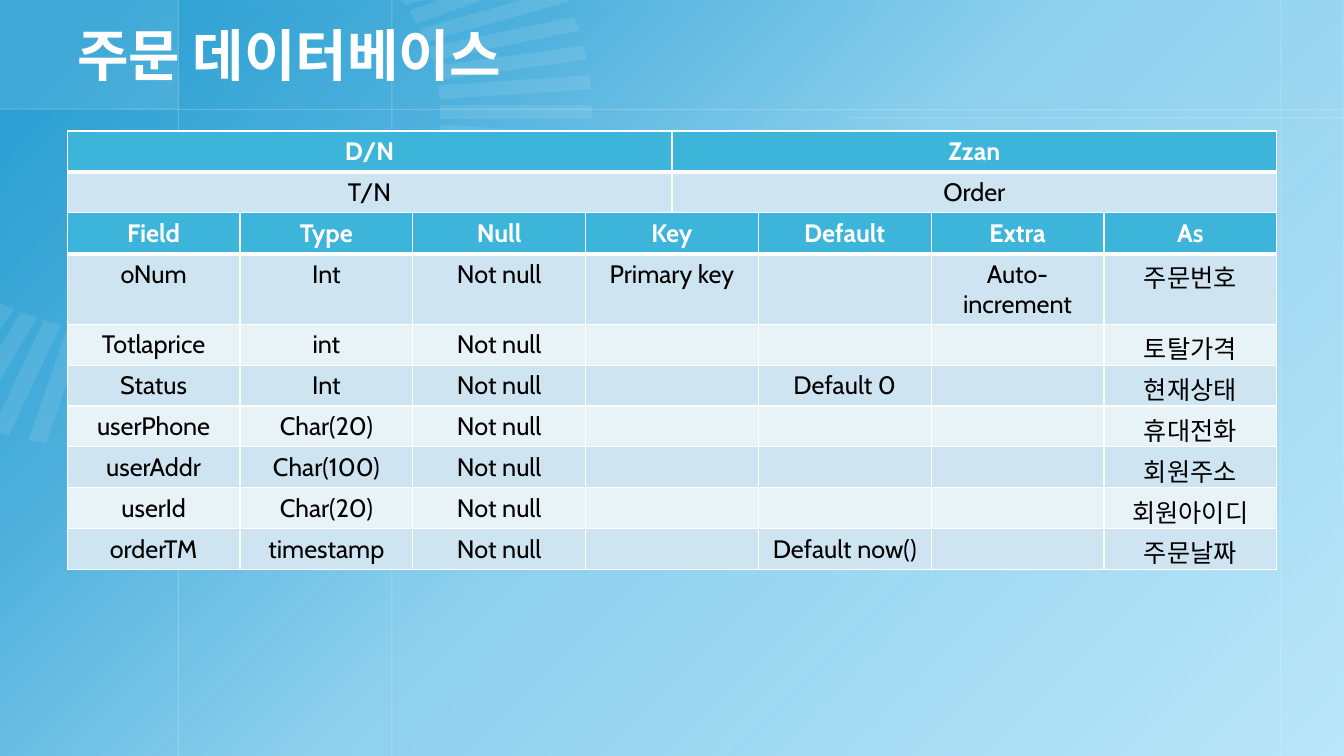
from dataclasses import dataclass
from math import cos, radians, sin

from lxml import etree
from pptx import Presentation
from pptx.dml.color import RGBColor
from pptx.enum.shapes import MSO_CONNECTOR, MSO_SHAPE
from pptx.enum.text import MSO_ANCHOR, PP_ALIGN
from pptx.oxml.ns import qn
from pptx.util import Pt

RECTANGLE = MSO_SHAPE.RECTANGLE
STRAIGHT = MSO_CONNECTOR.STRAIGHT
CENTER = PP_ALIGN.CENTER
MIDDLE = MSO_ANCHOR.MIDDLE

COLORS = {
    "background": "BCE7FA",
    "gradient": "0F92CC",
    "white": "FFFFFF",
    "ray": "F2FAFE",
    "header": "3DB5DB",
    "band_dark": "CEE5F1",
    "band_light": "E8F3F8",
    "text": "000000",
}
TITLE_FORMAT = {"name": "Calibri", "size": Pt(40), "bold": True}
HEADER_FORMAT = {"name": "Cabin", "size": Pt(18), "bold": True}
BODY_FORMAT = {"name": "Cabin", "size": Pt(18), "bold": False}

SLIDE_WIDTH, SLIDE_HEIGHT = 960, 540
GRADIENT_STOPS = [(6, 83), (26, 63), (50, 27), (100, 0)]
FAN_X, FAN_Y, FAN_STRETCH = 108, 80, 1.29
RAY_INNER, RAY_OUTER, RAY_HALF_WIDTH = 160, 244, 5
TABLE_LEFT, TABLE_WIDTH, ROW_HEIGHT = 48, 864, 29.2

Point = tuple[float, float]


@dataclass
class GuideLine:
    x1: float
    y1: float
    x2: float
    y2: float


@dataclass
class DataTable:
    top: float
    rows: list[list[str]]


GUIDE_LINES = [GuideLine(x, 0, x, SLIDE_HEIGHT) for x in (127.5, 915, 280)] + [
    GuideLine(0, 78, SLIDE_WIDTH, 78.5),
    GuideLine(607.7, 84.2, SLIDE_WIDTH, 84.2),
]

TABLES = [
    DataTable(93.6, [["D/N", "Zzan"], ["T/N", "Order"]]),
    DataTable(152, [
        ["Field", "Type", "Null", "Key", "Default", "Extra", "As"],
        ["oNum", "Int", "Not null", "Primary key", "", "Auto-increment", "주문번호"],
        ["Totlaprice", "int", "Not null", "", "", "", "토탈가격"],
        ["Status", "Int", "Not null", "", "Default 0", "", "현재상태"],
        ["userPhone", "Char(20)", "Not null", "", "", "", "휴대전화"],
        ["userAddr", "Char(100)", "Not null", "", "", "", "회원주소"],
        ["userId", "Char(20)", "Not null", "", "", "", "회원아이디"],
        ["orderTM", "timestamp", "Not null", "", "Default now()", "", "주문날짜"],
    ]),
]


def rgb(color: str) -> RGBColor:
    return RGBColor.from_string(COLORS[color])


def set_format(font, values: dict, color: str) -> None:
    for name, value in values.items():
        setattr(font, name, value)
    font.color.rgb = rgb(color)


def set_alpha(shape, percent: int) -> None:
    color = next(shape._element.spPr.iter(qn("a:srgbClr")))
    etree.SubElement(color, qn("a:alpha"), val=str(percent * 1000))


def clear_outline(shape) -> None:
    shape.line.fill.background()
    shape.shadow.inherit = False


def fill_translucent(shape, color: str, percent: int) -> None:
    shape.fill.solid()
    shape.fill.fore_color.rgb = rgb(color)
    set_alpha(shape, percent)
    clear_outline(shape)


def draw_gradient(slide) -> None:
    shape = slide.shapes.add_shape(RECTANGLE, 0, 0, Pt(SLIDE_WIDTH), Pt(SLIDE_HEIGHT))
    shape.fill.gradient()
    shape.fill.gradient_angle = 315
    stops = next(shape._element.spPr.iter(qn("a:gsLst")))
    for stop in list(stops):
        stops.remove(stop)
    for position, opacity in GRADIENT_STOPS:
        stop = etree.SubElement(stops, qn("a:gs"), pos=str(position * 1000))
        color = etree.SubElement(stop, qn("a:srgbClr"), val=COLORS["gradient"])
        etree.SubElement(color, qn("a:alpha"), val=str(opacity * 1000))
    clear_outline(shape)


def draw_guide_line(slide, line: GuideLine) -> None:
    connector = slide.shapes.add_connector(
        STRAIGHT, Pt(line.x1), Pt(line.y1), Pt(line.x2), Pt(line.y2))
    connector.line.color.rgb = rgb("white")
    connector.line.width = Pt(0.75)
    set_alpha(connector, 20)
    etree.SubElement(connector._element.spPr, qn("a:effectLst"))


def clip_at_zero(points: list[Point], axis: int) -> list[Point]:
    kept = []
    for start, end in zip(points, points[1:] + points[:1]):
        if start[axis] >= 0:
            kept.append(start)
        if (start[axis] >= 0) != (end[axis] >= 0):
            share = start[axis] / (start[axis] - end[axis])
            kept.append(tuple(a + share * (b - a) for a, b in zip(start, end)))
    return kept


def draw_ray(slide, degrees: int) -> None:
    cosine, sine = cos(radians(degrees)), sin(radians(degrees))
    half = RAY_HALF_WIDTH
    corners = [(RAY_INNER, -half), (RAY_OUTER, -half), (RAY_OUTER, half), (RAY_INNER, half)]
    points = [(FAN_X + FAN_STRETCH * (along * cosine - across * sine),
               FAN_Y + along * sine + across * cosine) for along, across in corners]
    for axis in (0, 1):
        points = clip_at_zero(points, axis)
    outline = [(Pt(x), Pt(y)) for x, y in points]
    builder = slide.shapes.build_freeform(*outline[0], scale=1.0)
    builder.add_line_segments(outline[1:], close=True)
    fill_translucent(builder.convert_to_shape(), "ray", 10)


def draw_title(slide) -> None:
    box = slide.shapes.add_textbox(Pt(48), 0, Pt(784), Pt(78))
    frame = box.text_frame
    frame.word_wrap = True
    frame.vertical_anchor = MIDDLE
    paragraph = frame.paragraphs[0]
    paragraph.text = "주문 데이터베이스"
    set_format(paragraph.font, TITLE_FORMAT, "white")


def set_borders(cell, widths: dict[str, int]) -> None:
    properties = cell._tc.get_or_add_tcPr()
    for side, width in widths.items():
        line = etree.SubElement(properties, qn(f"a:ln{side}"), w=str(Pt(width)))
        fill = etree.SubElement(line, qn("a:solidFill"))
        etree.SubElement(fill, qn("a:srgbClr"), val=COLORS["white"])


def draw_table(slide, data: DataTable) -> None:
    column_count = len(data.rows[0])
    table = slide.shapes.add_table(
        len(data.rows), column_count, Pt(TABLE_LEFT), Pt(data.top),
        Pt(TABLE_WIDTH), Pt(ROW_HEIGHT * len(data.rows))).table
    table.horz_banding = False
    table.first_row = False
    for column in table.columns:
        column.width = Pt(TABLE_WIDTH / column_count)
    for row_index, texts in enumerate(data.rows):
        table.rows[row_index].height = Pt(ROW_HEIGHT)
        is_header = row_index == 0
        band = "band_dark" if row_index % 2 else "band_light"
        for column_index, text in enumerate(texts):
            cell = table.cell(row_index, column_index)
            set_borders(cell, {"L": 1, "R": 1, "T": 3 if row_index == 1 else 1,
                               "B": 3 if is_header else 1})
            cell.fill.solid()
            cell.fill.fore_color.rgb = rgb("header" if is_header else band)
            paragraph = cell.text_frame.paragraphs[0]
            paragraph.text = text
            paragraph.alignment = CENTER
            set_format(paragraph.font, HEADER_FORMAT if is_header else BODY_FORMAT,
                       "white" if is_header else "text")


def main() -> None:
    presentation = Presentation()
    presentation.slide_width = Pt(SLIDE_WIDTH)
    presentation.slide_height = Pt(SLIDE_HEIGHT)
    slide = presentation.slides.add_slide(presentation.slide_layouts[6])
    slide.background.fill.solid()
    slide.background.fill.fore_color.rgb = rgb("background")
    draw_gradient(slide)
    corner = slide.shapes.add_shape(RECTANGLE, 0, 0, Pt(127.5), Pt(78))
    fill_translucent(corner, "white", 10)
    for line in GUIDE_LINES:
        draw_guide_line(slide, line)
    for degrees in range(-30, 121, 5):
        draw_ray(slide, degrees)
    draw_title(slide)
    for data in TABLES:
        draw_table(slide, data)
    presentation.save("out.pptx")


if __name__ == "__main__":
    main()
